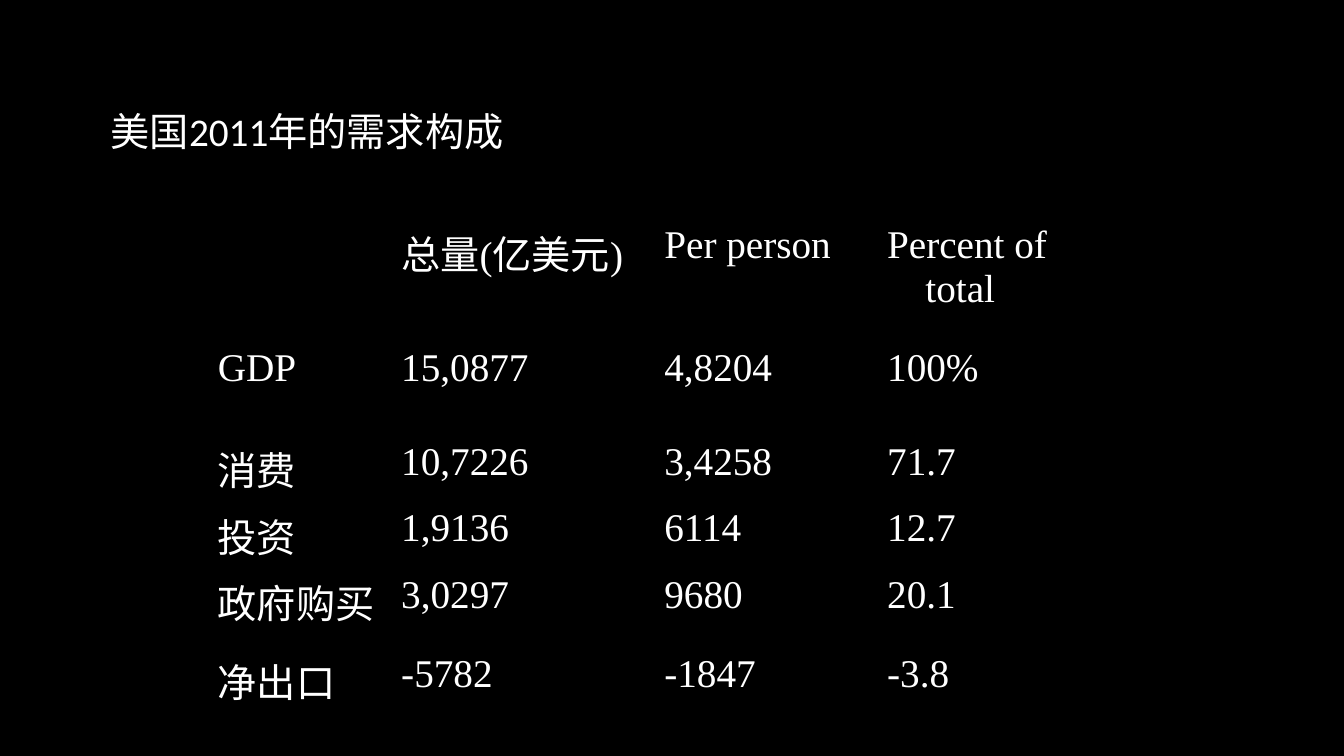
"""Build the slide on the make-up of US demand in 2011."""
from dataclasses import dataclass
from itertools import product

from lxml.etree import SubElement as Sub
from pptx import Presentation
from pptx.dml.color import RGBColor as Color
from pptx.enum.text import MSO_ANCHOR as Anchor
from pptx.oxml.ns import qn
from pptx.util import Inches, Pt

TITLE = "美国2011年的需求构成"
ROWS = [
    ("", "总量(亿美元)", "Per person", "Percent of total"),
    ("GDP", "15,0877", "4,8204", "100%"),
    ("消费", "10,7226", "3,4258", "71.7"),
    ("投资", "1,9136", "6114", "12.7"),
    ("政府购买", "3,0297", "9680", "20.1"),
    ("净出口", "-5782", "-1847", "-3.8"),
]
WIDTHS = (1.82, 2.61, 2.21, 2.21)
HEIGHTS = (1.22, 0.93, 0.66, 0.66, 0.78, 0.66)
INDENT = 0.38


@dataclass(frozen=True)
class Theme:
    ground: str = "000000"
    ink: str = "FFFFFF"
    head: str = "Calibri"
    body: str = "Times New Roman"
    size: int = 28
    rule: int = 1


THEME = Theme()


def style(para, face):
    for run in para.runs:
        font = run.font
        font.name = face
        font.size = Pt(THEME.size)
        font.color.rgb = Color.from_string(THEME.ink)


def hang(para):
    props = para._p.get_or_add_pPr()
    props.set("marL", str(Inches(INDENT)))
    props.set("indent", str(-Inches(INDENT)))


def border(cell):
    props = cell._tc.get_or_add_tcPr()
    for side in ("a:lnL", "a:lnR", "a:lnT", "a:lnB"):
        line = Sub(props, qn(side), w=str(Pt(THEME.rule)))
        fill = Sub(line, qn("a:solidFill"))
        Sub(fill, qn("a:srgbClr"), val=THEME.ground)


def add_title(slide):
    box = slide.shapes.add_textbox(
        Inches(1), Inches(0.67), Inches(11.33), Inches(1.25))
    frame = box.text_frame
    frame.word_wrap = True
    frame.vertical_anchor = Anchor.MIDDLE
    frame.text = TITLE
    style(frame.paragraphs[0], THEME.head)


def add_grid(slide):
    frame = slide.shapes.add_table(
        len(ROWS), len(WIDTHS), Inches(2.06), Inches(2.17),
        Inches(sum(WIDTHS)), Inches(sum(HEIGHTS)))
    table = frame.table
    table.first_row = table.horz_banding = False
    for col, width in zip(table.columns, WIDTHS):
        col.width = Inches(width)
    for row, height in zip(table.rows, HEIGHTS):
        row.height = Inches(height)
    for r, c in product(range(len(ROWS)), range(len(WIDTHS))):
        cell = table.cell(r, c)
        border(cell)
        cell.fill.background()
        cell.text_frame.text = ROWS[r][c]
        para = cell.text_frame.paragraphs[0]
        hang(para)
        style(para, THEME.body)


def main():
    deck = Presentation()
    deck.slide_width, deck.slide_height = Inches(13.33), Inches(7.5)
    slide = deck.slides.add_slide(deck.slide_layouts[6])
    fill = slide.background.fill
    fill.solid()
    fill.fore_color.rgb = Color.from_string(THEME.ground)
    add_title(slide)
    add_grid(slide)
    deck.save("out.pptx")


if __name__ == "__main__":
    main()
